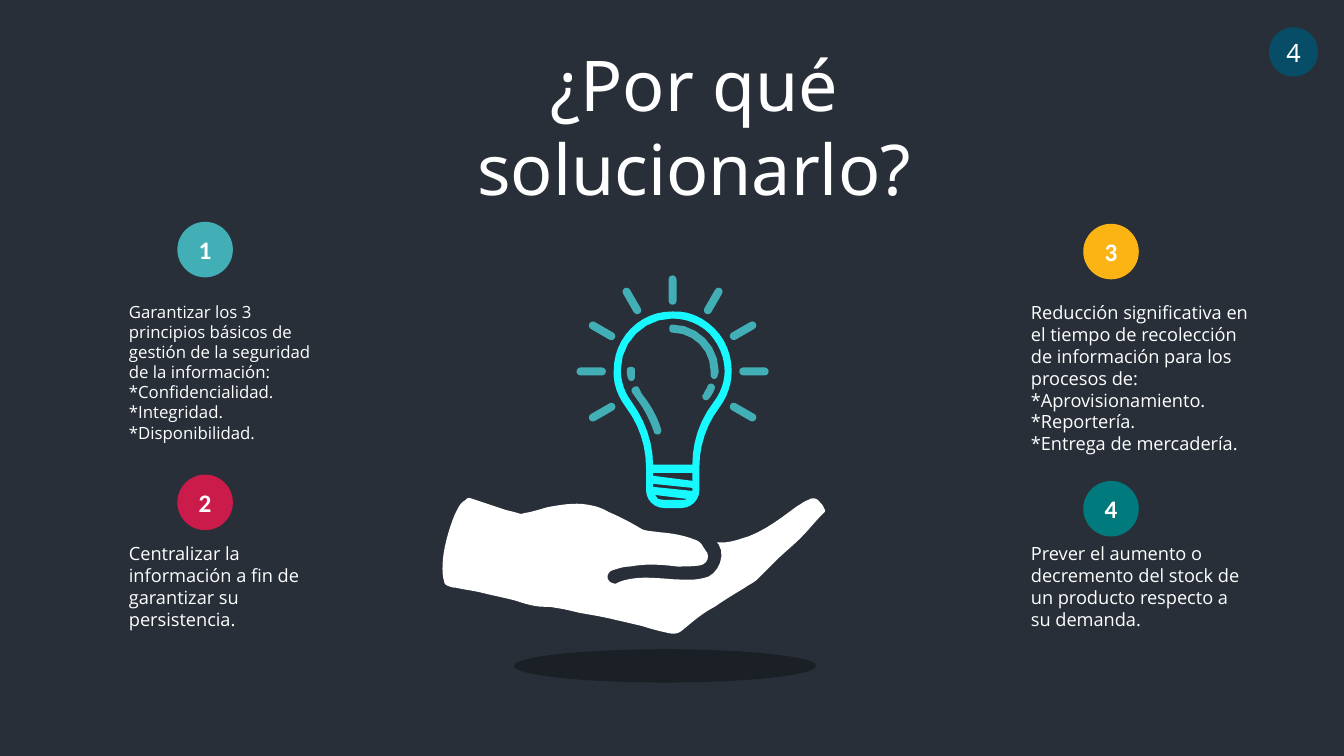
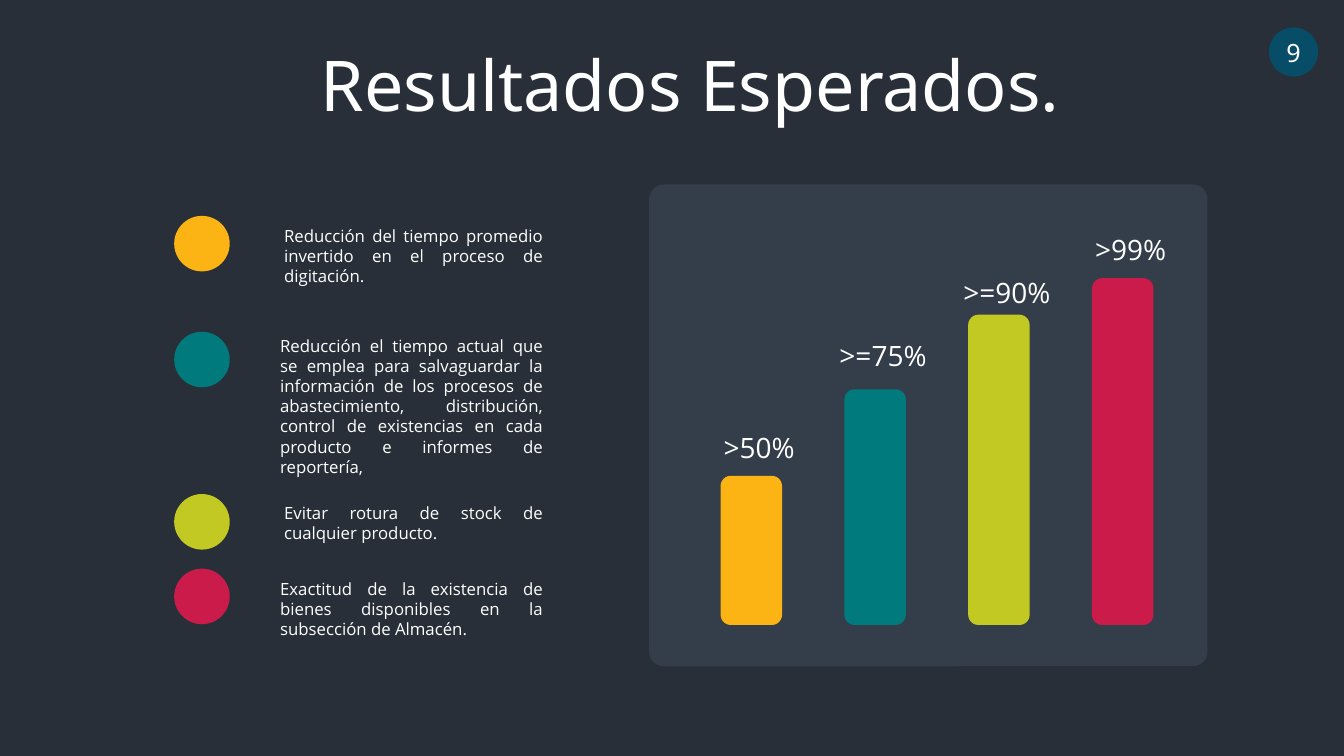
from dataclasses import dataclass
from math import cos, radians, sin

from lxml import etree
from pptx import Presentation
from pptx.dml.color import RGBColor
from pptx.enum.shapes import MSO_SHAPE
from pptx.enum.text import MSO_ANCHOR, MSO_AUTO_SIZE, PP_ALIGN
from pptx.oxml.ns import qn
from pptx.shapes.autoshape import Shape
from pptx.slide import Slide
from pptx.text.text import TextFrame
from pptx.util import Cm, Pt

ELLIPSE, ROUNDED = MSO_SHAPE.OVAL, MSO_SHAPE.ROUNDED_RECTANGLE
LEFT, CENTER, JUSTIFY = PP_ALIGN.LEFT, PP_ALIGN.CENTER, PP_ALIGN.JUSTIFY
TOP, MIDDLE = MSO_ANCHOR.TOP, MSO_ANCHOR.MIDDLE
GROW = MSO_AUTO_SIZE.SHAPE_TO_FIT_TEXT
TITLE_ONLY = 5
ART_UNIT = Cm(0.0254)
CURVE_STEPS = 6


@dataclass(frozen=True)
class Theme:
    """Colours, fonts and type sizes of the deck."""
    background: str = "282F39"
    white: str = "FFFFFF"
    black: str = "000000"
    panel: str = "536176"
    badge: str = "074D67"
    aqua: str = "42AFB6"
    cyan: str = "18F9FF"
    red: str = "CB1B4A"
    amber: str = "FCB414"
    teal: str = "007A7D"
    lime: str = "C2C923"
    title_font: str = "Noto Sans"
    body_font: str = "Open Sans"
    number_font: str = "Calibri"
    title_size: int = 50
    label_size: int = 20
    number_size: int = 18
    body_size: int = 13
    small_size: int = 12
    soft_opacity: int = 30


THEME = Theme()


@dataclass(frozen=True)
class Box:
    """A frame in centimetres."""
    left: float
    top: float
    width: float
    height: float

    def lengths(self) -> tuple[Cm, Cm, Cm, Cm]:
        """Return the frame as lengths for a shape call."""
        return Cm(self.left), Cm(self.top), Cm(self.width), Cm(self.height)


@dataclass(frozen=True)
class Reason:
    """A numbered circle with the paragraphs below it."""
    number: str
    color: str
    circle_left: float
    circle_top: float
    text_box: Box
    size: int
    lines: tuple[str, ...]


@dataclass(frozen=True)
class Result:
    """An expected result: its legend entry, and its bar with a label."""
    color: str
    circle_top: float
    text_left: float
    text_top: float
    text_height: float
    text: str
    label: str
    label_top: float
    bar_height: float


REASONS = (
    Reason("1", THEME.aqua, 4.47, 5.59, Box(3, 7.47, 5.31, 3.84), THEME.small_size, (
        "Garantizar los 3 principios básicos de gestión de la seguridad de la información:",
        "*Confidencialidad.", "*Integridad.", "*Disponibilidad.")),
    Reason("2", THEME.red, 4.47, 11.96, Box(3, 13.54, 5.31, 2.49), THEME.body_size, (
        "Centralizar la información a fin de garantizar su persistencia.",)),
    Reason("3", THEME.amber, 27.3, 5.64, Box(25.73, 7.47, 6.05, 4.7), THEME.body_size, (
        "Reducción significativa en el tiempo de recolección de información para los "
        "procesos de:",
        "*Aprovisionamiento.", "*Reportería.", "*Entrega de mercadería.")),
    Reason("4", THEME.teal, 27.3, 12.12, Box(25.73, 13.54, 6.05, 3.02), THEME.body_size, (
        "Prever el aumento o decremento del stock de un producto respecto a su demanda.",)),
)

RESULTS = (
    Result(THEME.amber, 5.44, 6.91, 5.56, 1.27,
           "Reducción del tiempo promedio invertido en el proceso de digitación.",
           ">50%", 10.72, 3.76),
    Result(THEME.teal, 8.36, 6.81, 8.33, 3.33,
           "Reducción el tiempo actual que se emplea para salvaguardar la información de "
           "los procesos de abastecimiento, distribución, control de existencias en cada "
           "producto e informes de reportería,",
           ">=75%", 8.41, 5.94),
    Result(THEME.lime, 12.45, 6.91, 12.55, 1.27,
           "Evitar rotura de stock de cualquier producto.",
           ">=90%", 6.81, 7.82),
    Result(THEME.red, 14.33, 6.81, 14.45, 1.27,
           "Exactitud de la existencia de bienes disponibles en la subsección de Almacén.",
           ">99%", 5.74, 8.74),
)

# Outlines in art units: a start point, then three points for each cubic curve.
HAND_FINGERS_AND_PALM = """711,538 715,538 718,538 720,538 729,537 736,534 743,532
761,525 776,513 791,502 795,500 798,497 802,496 806,493 811,494 814,499 816,500 817,503 818,505
819,506 819,508 817,509 809,517 802,526 794,534 786,542 777,549 769,557 763,563 757,569 751,575
748,578 743,580 739,583 729,589 719,595 709,602 697,608 687,617 676,626 672,629 668,629 663,628
654,626 646,624 637,621 628,619 620,617 611,615 599,612 587,610 575,608 567,606 559,604 551,603
547,602 544,602 541,602"""
HAND_WRIST_AND_BACK = """530,602 521,599 512,596 501,593 490,591 478,588 470,586 461,585 452,583
449,583 446,582 444,581 442,580 441,579 441,578 438,569 439,559 440,550 442,537 446,523 451,511
454,505 456,499 462,496 462,495 464,494 466,494 478,498 490,502 502,506 507,507 510,508 514,509
516,510 518,510 520,509 528,508 536,505 544,503 555,501 567,499 578,500 587,501 596,503 604,508
616,513 627,519 637,525"""
HAND_THUMB = """642,527 648,527 654,528 667,529 679,531 691,536 696,538 697,542 700,546
705,551 702,560 694,561 687,562 679,562 672,562 656,560 641,559 625,562 619,562 613,564 607,566
604,567 602,571 603,574 604,577 607,579 611,579 613,578 615,577 618,576 631,572 646,573 660,574
669,575 677,575 686,575 691,575 697,574 703,572 713,567 720,551 713,540 712,539 712,539
711,538"""
BULB_OUTSIDE = """714,404 722,393 726,381 726,368 726,352 720,337 709,326 697,314 682,308 667,309
651,309 637,315 626,326 615,337 609,352 609,367 608,381 613,393 621,404 634,421 641,442 641,463
641,471 641,479 641,486 641,496 649,504 659,504 665,504 670,504 676,504 686,504 694,496 694,486
694,479 694,471 694,463 694,442 701,421 714,404"""
BULB_INSIDE = """627,399 620,390 616,379 616,367 616,339 639,316 667,316 681,316 694,321 704,331
713,341 719,354 719,368 719,379 715,390 708,399 694,417 687,439 687,461 674,461 661,461 648,461
648,439 640,417 627,399"""
BULB_THREADS = (
    "648,483 648,480 687,484 687,486 687,487",
    "648,472 648,469 687,469 687,477",
    "659,496 653,495 650,491 682,495 679,496 676,496",
)
GLINTS = (
    """630,373 630,372 630,370 630,367 630,365 628,364 626,364 624,364 622,365 622,367
    622,370 622,372 623,375 623,376 625,378 626,378 629,378 630,376 630,373""",
    """652,431 653,431 653,431 654,431 655,430 657,428 656,426 652,413 646,402 637,391
    636,389 635,387 634,385 633,383 631,383 629,384 627,385 626,387 627,389 628,391 630,393
    631,395 639,405 645,417 649,429 649,430 651,431 652,431""",
    """707,381 705,380 703,381 702,383 701,386 699,388 698,391 696,392 697,395 698,396
    699,397 700,397 701,397 702,397 703,396 704,395 706,392 708,389 709,386 710,384 709,382
    707,381""",
    """667,330 688,330 705,347 705,368 705,369 705,370 705,371 705,374 706,375 708,376
    711,376 712,374 712,372 713,371 713,369 713,368 713,343 692,322 667,322 665,322 664,324
    664,326 664,328 665,330 667,330""",
)

Point = tuple[float, float]


def read_points(*parts: str) -> list[Point]:
    """Turn the parts of an outline text into points in slide lengths."""
    pairs = (pair.split(",") for part in parts for pair in part.split())
    return [(int(x) * ART_UNIT, int(y) * ART_UNIT) for x, y in pairs]


def trace_curves(*parts: str) -> list[Point]:
    """Sample the cubic curves of an outline."""
    points = read_points(*parts)
    traced = points[:1]
    for first in range(0, len(points) - 1, 3):
        start, pull, push, end = points[first:first + 4]
        for step in range(1, CURVE_STEPS + 1):
            t = step / CURVE_STEPS
            u = 1 - t
            traced.append(tuple(
                u**3 * a + 3 * u * u * t * b + 3 * u * t * t * c + t**3 * d
                for a, b, c, d in zip(start, pull, push, end)))
    return traced


def paint(shape: Shape, color: str, opacity: int = 100) -> Shape:
    """Give a shape a flat fill without line or shadow."""
    shape.shadow.inherit = False
    shape.line.fill.background()
    shape.fill.solid()
    shape.fill.fore_color.rgb = RGBColor.from_string(color)
    if opacity < 100:
        tint = shape.element.spPr.find(f".//{qn('a:srgbClr')}")
        etree.SubElement(tint, qn("a:alpha"), val=str(opacity * 1000))
    return shape


def add_outline(shapes, contours: list[list[Point]], color: str) -> Shape:
    """Draw closed contours as one filled shape; inner ones become holes."""
    builder = shapes.build_freeform(*contours[0][0], scale=1.0)
    builder.add_line_segments(contours[0][1:], close=True)
    for contour in contours[1:]:
        builder.move_to(*contour[0])
        builder.add_line_segments(contour[1:], close=True)
    return paint(builder.convert_to_shape(), color)


def add_preset(shapes, kind: MSO_SHAPE, box: Box, color: str, opacity: int = 100) -> Shape:
    """Draw a flat preset shape."""
    return paint(shapes.add_shape(kind, *box.lengths()), color, opacity)


def write(frame: TextFrame, *lines: str, size: int, font: str = THEME.body_font,
          align: PP_ALIGN = LEFT, anchor: MSO_ANCHOR = TOP, bold: bool = False,
          wrap: bool = True) -> None:
    """Fill a text frame with formatted paragraphs."""
    frame.word_wrap = wrap
    frame.vertical_anchor = anchor
    for index, line in enumerate(lines):
        para = frame.add_paragraph() if index else frame.paragraphs[0]
        para.alignment = align
        span = para.add_run()
        span.text = line
        span.font.size, span.font.name, span.font.bold = Pt(size), font, bold
        span.font.color.rgb = RGBColor.from_string(THEME.white)


def add_text(page: Slide, box: Box, *lines: str, **text_format) -> None:
    """Add a wrapped text box that grows with its text."""
    frame = page.shapes.add_textbox(*box.lengths()).text_frame
    write(frame, *lines, **text_format)
    frame.auto_size = GROW


def add_page(deck, title: str, title_box: Box, number: str) -> Slide:
    """Add a slide with its title and page number badge."""
    page = deck.slides.add_slide(deck.slide_layouts[TITLE_ONLY])
    heading = page.shapes.title
    heading.left, heading.top, heading.width, heading.height = title_box.lengths()
    write(heading.text_frame, title, size=THEME.title_size, font=THEME.title_font,
          align=CENTER)
    heading.text_frame.auto_size = GROW
    badge = add_preset(page.shapes, ELLIPSE, Box(31.98, 0.69, 1.24, 1.24), THEME.badge)
    write(badge.text_frame, number, size=THEME.number_size, font=THEME.title_font,
          align=CENTER, anchor=MIDDLE, wrap=False)
    return page


def add_circle(page: Slide, left: float, top: float, color: str) -> Shape:
    """Draw a marker circle."""
    return add_preset(page.shapes, ELLIPSE, Box(left, top, 1.4, 1.4), color)


def add_bulb(page: Slide) -> None:
    """Draw the light bulb with its glints and a fan of rays."""
    bulb = page.shapes.add_group_shape().shapes
    glass = [trace_curves(BULB_OUTSIDE), trace_curves(BULB_INSIDE)]
    add_outline(bulb, glass + [read_points(thread) for thread in BULB_THREADS], THEME.cyan)
    for glint in GLINTS:
        add_outline(bulb, [trace_curves(glint)], THEME.aqua)
    width, length, radius = 0.2, 0.74, 2.05
    for angle in range(-120, 121, 30):
        x = 16.95 + radius * sin(radians(angle))
        y = 9.36 - radius * cos(radians(angle))
        ray_box = Box(x - width / 2, y - length / 2, width, length)
        ray = add_preset(bulb, ROUNDED, ray_box, THEME.aqua)
        ray.adjustments[0] = 0.5
        ray.rotation = angle


def add_reasons_page(deck) -> None:
    """Build the slide with four reasons around the hand and bulb."""
    page = add_page(deck, "¿Por qué solucionarlo?", Box(9.86, 0.91, 15.27, 4.52), "4")
    add_preset(page.shapes, ELLIPSE, Box(12.95, 16.36, 7.62, 0.84), THEME.black,
               THEME.soft_opacity)
    hand = trace_curves(HAND_FINGERS_AND_PALM, HAND_WRIST_AND_BACK, HAND_THUMB)
    add_outline(page.shapes, [hand], THEME.white)
    add_bulb(page)
    for reason in REASONS:
        circle = add_circle(page, reason.circle_left, reason.circle_top, reason.color)
        write(circle.text_frame, reason.number, size=THEME.number_size,
              font=THEME.number_font, align=CENTER, anchor=MIDDLE, bold=True)
        add_text(page, reason.text_box, *reason.lines, size=reason.size)


def add_results_page(deck) -> None:
    """Build the slide with the legend and the bars."""
    page = add_page(deck, "Resultados Esperados.", Box(4.39, 0.91, 26.01, 2.39), "9")
    panel = add_preset(page.shapes, ROUNDED, Box(16.36, 4.65, 14.07, 12.14), THEME.panel,
                       THEME.soft_opacity)
    panel.adjustments[0] = 0.03
    text_right, base, bar_width, label_width = 13.94, 15.75, 1.55, 2.82
    for index, result in enumerate(RESULTS):
        add_circle(page, 4.39, result.circle_top, result.color)
        text_box = Box(result.text_left, result.text_top,
                       text_right - result.text_left, result.text_height)
        add_text(page, text_box, result.text, size=THEME.small_size, align=JUSTIFY)
        bar_left = 18.16 + 3.12 * index
        add_preset(page.shapes, ROUNDED, Box(bar_left, base - result.bar_height, bar_width,
                                             result.bar_height), result.color)
        label_left = bar_left + (bar_width - label_width) / 2 + 0.2
        add_text(page, Box(label_left, result.label_top, label_width, 1.12), result.label,
                 size=THEME.label_size, align=CENTER)


def main() -> None:
    """Build and save the deck."""
    deck = Presentation()
    deck.slide_width, deck.slide_height = Cm(33.87), Cm(19.05)
    backdrop = deck.slide_master.background.fill
    backdrop.solid()
    backdrop.fore_color.rgb = RGBColor.from_string(THEME.background)
    add_reasons_page(deck)
    add_results_page(deck)
    deck.save("out.pptx")


main()
